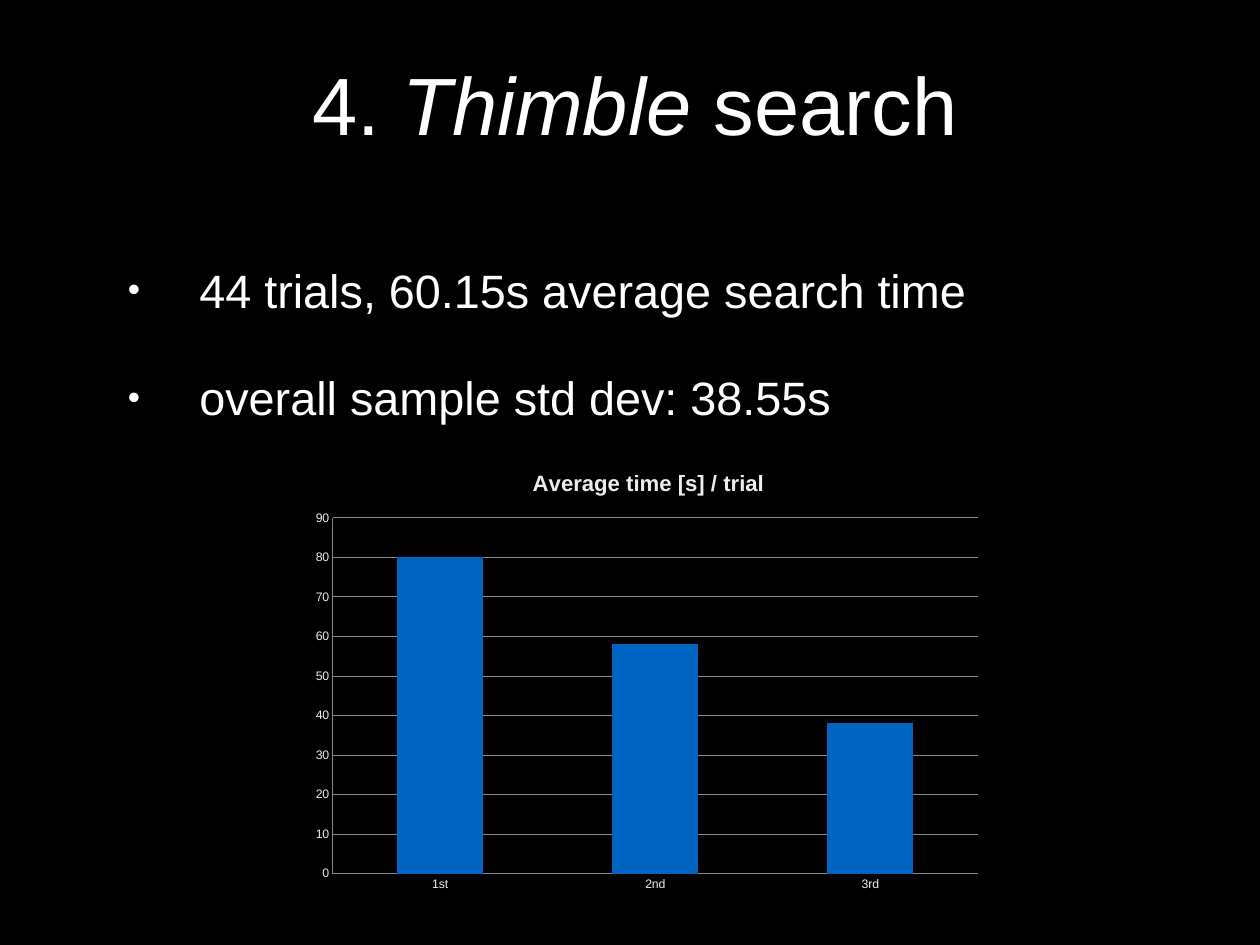
"""Build the Thimble search slide with its bullets and bar chart."""
import dataclasses
import typing

import lxml.etree
import pptx
import pptx.chart.data
import pptx.dml.color
import pptx.enum.chart
import pptx.enum.text
import pptx.oxml
import pptx.oxml.ns
import pptx.util

Pt = pptx.util.Pt
FONT = "Arial"
COLORS = {"back": "000000", "text": "FFFFFF", "label": "EDEDED", "line": "878787", "bar": "0065C1"}


@dataclasses.dataclass
class Box:
    left: float
    top: float
    width: float
    height: float

    def pts(self) -> list[pptx.util.Length]:
        return [Pt(n) for n in (self.left, self.top, self.width, self.height)]


@dataclasses.dataclass
class Run:
    text: str
    slant: bool = False


@dataclasses.dataclass
class Block:
    box: Box
    lines: list[list[Run]]
    size: float
    center: bool = False
    bullet: bool = False


BLOCKS = [
    Block(Box(104, 24, 824, 120), [[Run("4. "), Run("Thimble", True), Run(" search")]], 66, center=True),
    Block(
        Box(104, 198, 824, 162),
        [[Run("44 trials, 60.15s average search time")], [Run("overall sample std dev: 38.55s")]],
        38,
        bullet=True,
    ),
]
CHART = Box(248, 366, 558, 366)
PLOT = {"x": 0.04, "y": 0.15, "w": 0.94, "h": 0.79}
TIMES = {"1st": 80, "2nd": 58, "3rd": 38}


def tint(name: str) -> pptx.dml.color.RGBColor:
    return pptx.dml.color.RGBColor.from_string(COLORS[name])


def style(font: typing.Any, size: float, color: str, bold: bool = False, slant: bool = False) -> None:
    font.name, font.size, font.bold, font.italic = FONT, Pt(size), bold, slant
    font.color.rgb = tint(color)


def write(para: typing.Any, text: str, **form: typing.Any) -> None:
    run = para.add_run()
    run.text = text
    style(run.font, **form)


def add_dot(para: typing.Any) -> None:
    props = para._p.get_or_add_pPr()
    props.set("marL", str(Pt(58)))
    props.set("indent", str(-Pt(58)))
    for tag, key, value in (("buSzPct", "val", "75000"), ("buFont", "typeface", FONT), ("buChar", "char", "•")):
        lxml.etree.SubElement(props, pptx.oxml.ns.qn(f"a:{tag}")).set(key, value)


def add_block(slide: typing.Any, block: Block) -> None:
    frame = slide.shapes.add_textbox(*block.box.pts()).text_frame
    frame.word_wrap = True
    frame.margin_left = frame.margin_right = frame.margin_top = frame.margin_bottom = 0
    frame.vertical_anchor = pptx.enum.text.MSO_ANCHOR.MIDDLE
    align = pptx.enum.text.PP_ALIGN
    for spot, line in enumerate(block.lines):
        para = frame.add_paragraph() if spot else frame.paragraphs[0]
        para.alignment = align.CENTER if block.center else align.LEFT
        para.space_before = Pt(42)
        if block.bullet:
            add_dot(para)
        for run in line:
            write(para, run.text, size=block.size, color="text", slant=run.slant)


def set_plot(chart: typing.Any) -> None:
    parts = "".join(f'<c:{key}Mode val="edge"/>' for key in "xy")
    parts += "".join(f'<c:{key} val="{value}"/>' for key, value in PLOT.items())
    area = chart._chartSpace.chart.plotArea
    for old in area.findall(pptx.oxml.ns.qn("c:layout")):
        area.remove(old)
    area.insert(0, pptx.oxml.parse_xml(
        f'<c:layout {pptx.oxml.ns.nsdecls("c")}><c:manualLayout>'
        f'<c:layoutTarget val="inner"/>{parts}</c:manualLayout></c:layout>'
    ))


def add_bars(slide: typing.Any) -> None:
    enum = pptx.enum.chart
    data = pptx.chart.data.CategoryChartData()
    data.categories = list(TIMES)
    data.add_series("Average time [s] / trial", list(TIMES.values()))
    chart = slide.shapes.add_chart(enum.XL_CHART_TYPE.COLUMN_CLUSTERED, *CHART.pts(), data).chart
    style(chart.font, 10, "label")
    chart.has_legend = False
    chart.has_title = True
    write(chart.chart_title.text_frame.paragraphs[0], "Average time [s] / trial", size=18, color="label", bold=True)
    chart.chart_title.include_in_layout = False
    bars = chart.plots[0]
    bars.gap_width = 150
    bars.vary_by_categories = False
    fill = bars.series[0].format.fill
    fill.solid()
    fill.fore_color.rgb = tint("bar")
    scale = chart.value_axis
    scale.minimum_scale, scale.maximum_scale, scale.major_unit = 0, 90, 10
    scale.has_major_gridlines = True
    for axis in (scale, chart.category_axis):
        axis.major_tick_mark = axis.minor_tick_mark = enum.XL_TICK_MARK.NONE
    for part in (scale, scale.major_gridlines, chart.category_axis):
        part.format.line.color.rgb = tint("line")
        part.format.line.width = Pt(0.75)
    set_plot(chart)


def main() -> None:
    deck = pptx.Presentation()
    deck.slide_width, deck.slide_height = Pt(1024), Pt(768)
    slide = deck.slides.add_slide(deck.slide_layouts[6])
    slide.background.fill.solid()
    slide.background.fill.fore_color.rgb = tint("back")
    for block in BLOCKS:
        add_block(slide, block)
    add_bars(slide)
    deck.save("out.pptx")


if __name__ == "__main__":
    main()
